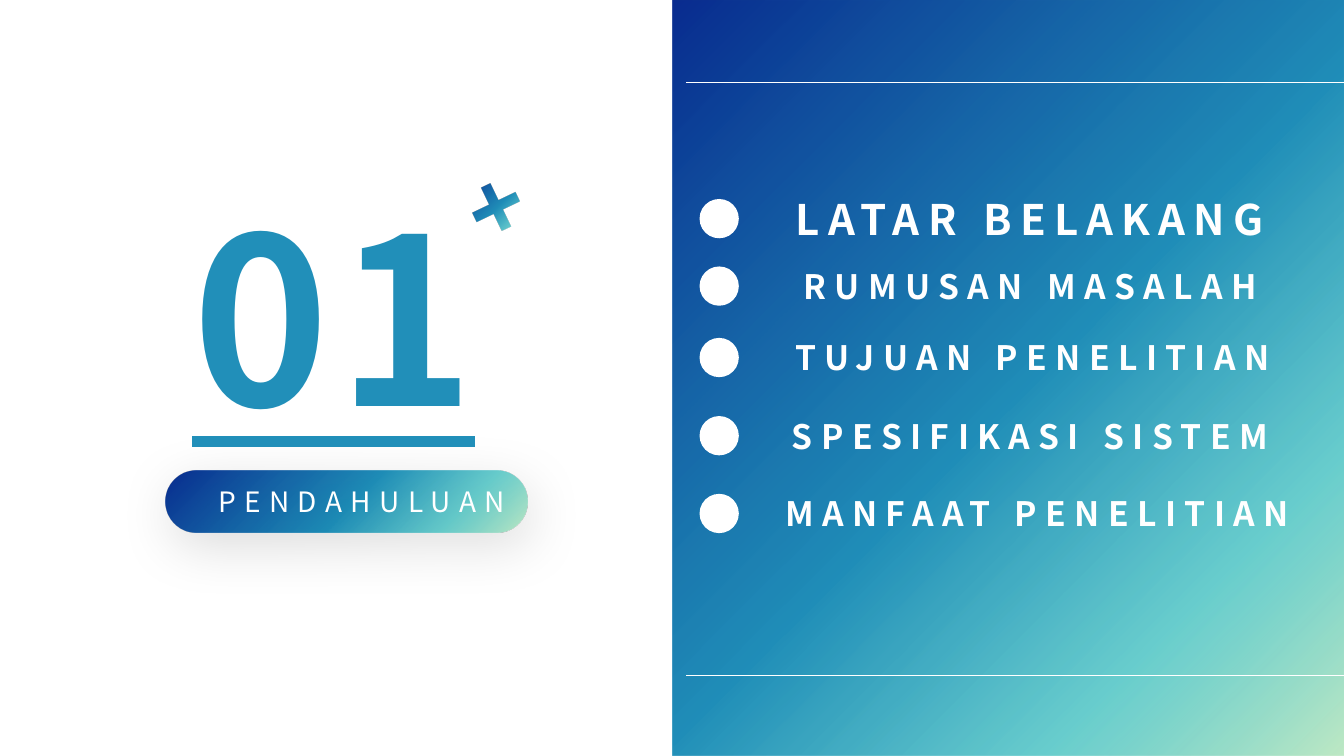
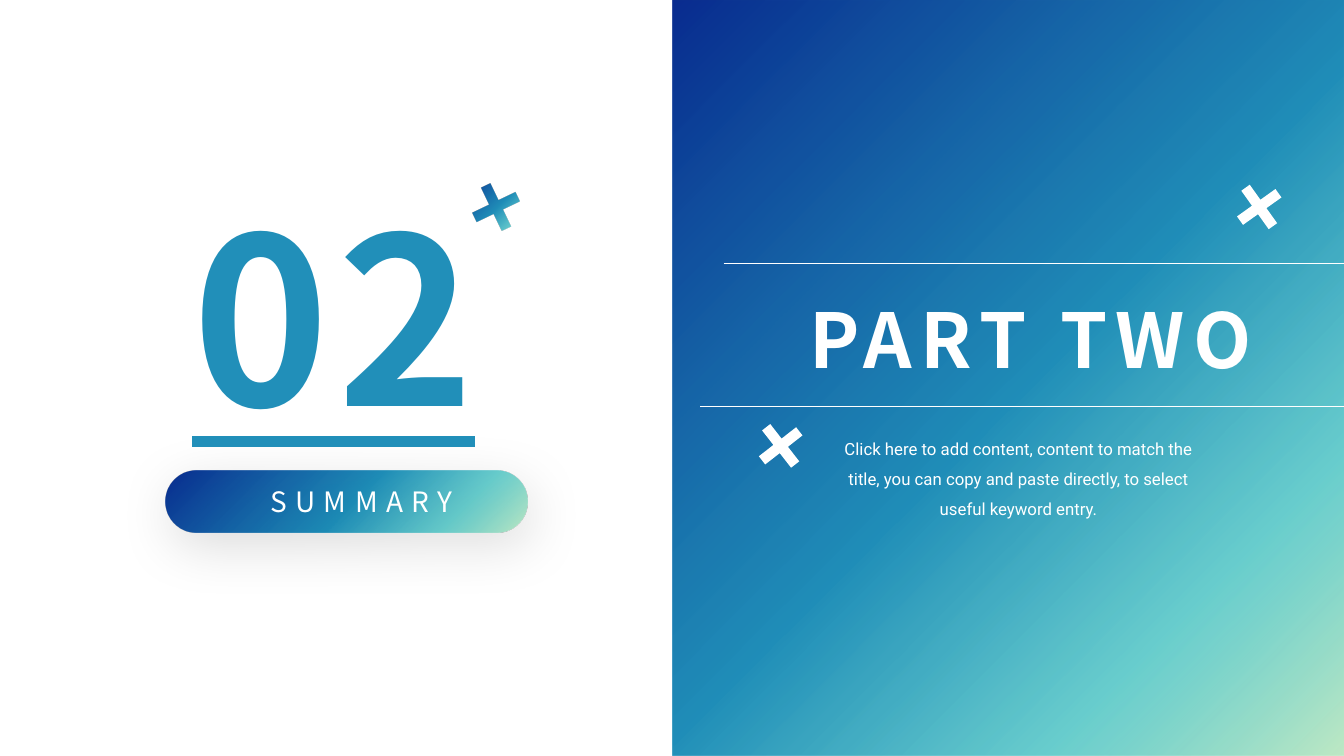
from lxml.etree import SubElement
from pptx import Presentation
from pptx.dml.color import RGBColor
from pptx.enum.shapes import MSO_CONNECTOR, MSO_SHAPE
from pptx.enum.text import MSO_AUTO_SIZE, PP_ALIGN
from pptx.oxml.ns import qn
from pptx.util import Cm, Pt

COLOURS = {"white": "FFFFFF", "number": "218FB9", "shadow": "000000"}
# position %, colour, opacity %
GRADIENT = [(0, "00248B", 96), (52, "0681B0", 89), (79, "45C2C2", 80), (100, "BDE8C2", 96)]
HEADING_FONT, BODY_FONT = "Noto Sans CJK SC", "Roboto"
WIDTH, HEIGHT = 33.87, 19.05

# All lengths are centimetres
PANEL = (16.94, 0, 16.93, HEIGHT)
PILL = (4.17, 11.86, 9.12, 1.57)
LABEL = (5.2, 12.22, 7.82, 0.86)
NUMBER = (4.55, 4.39, 7.72, 7.09)
CROSS_SIZE, DOT_SIZE = 1.19, 0.99
NUMBER_CROSS = (11.91, 4.62, 334.4)

AGENDA_RULES = [(17.3, 2.08), (17.3, 17.02)]
# wording, size, centre of the text, middle of the row
AGENDA = [
    ("LATAR BELAKANG", 30, 25.96, 5.51),
    ("RUMUSAN MASALAH", 24, 25.96, 7.21),
    ("TUJUAN PENELITIAN", 24, 26.02, 9.01),
    ("SPESIFIKASI SISTEM", 24, 25.96, 10.98),
    ("MANFAAT PENELITIAN", 24, 26.14, 12.94),
]
AGENDA_DOT_LEFT, AGENDA_WIDTH = 17.63, 13.2

PART_RULES = [(18.24, 6.63), (17.65, 10.24)]
PART_CROSSES = [(19.08, 10.64, 322.1), (31.14, 4.62, 324.5)]
PART_TITLE = ("PART TWO", (19.84, 7.39, 12.27, 2.31))
PART_TEXT = (
    "Click here to add content, content to match the title, "
    "you can copy and paste directly, to select useful keyword entry.",
    (21.06, 10.8, 9.22, 2.24),
)


def colour(name):
    return RGBColor.from_string(COLOURS[name])


def add_colour(parent, value, opacity):
    node = SubElement(parent, qn("a:srgbClr"), val=value)
    SubElement(node, qn("a:alpha"), val=str(opacity * 1000))


def fill_gradient(shape):
    """Spread the gradient from the top left corner of the shape."""
    shape.fill.gradient()
    gradient = shape.fill._xPr.find(qn("a:gradFill"))
    for child in list(gradient):
        gradient.remove(child)
    stops = SubElement(gradient, qn("a:gsLst"))
    for position, value, opacity in GRADIENT:
        add_colour(SubElement(stops, qn("a:gs"), pos=str(position * 1000)), value, opacity)
    circle = SubElement(gradient, qn("a:path"), path="circle")
    SubElement(circle, qn("a:fillToRect"), r="100000", b="100000")


def add_shape(page, kind, frame, fill=None):
    """Add an outline-free shape, with the gradient unless a fill is named."""
    shape = page.shapes.add_shape(kind, *map(Cm, frame))
    shape.shadow.inherit = False
    shape.line.fill.background()
    if fill:
        shape.fill.solid()
        shape.fill.fore_color.rgb = colour(fill)
    else:
        fill_gradient(shape)
    return shape


def add_cross(page, left, top, rotation, fill=None):
    cross = add_shape(page, MSO_SHAPE.CROSS, (left, top, CROSS_SIZE, CROSS_SIZE), fill)
    cross.adjustments[0] = 0.39
    cross.rotation = rotation


def add_rules(page, starts):
    """Draw thin lines that run to the right edge of the page."""
    for left, top in starts:
        rule = page.shapes.add_connector(
            MSO_CONNECTOR.STRAIGHT, Cm(left), Cm(top), Cm(WIDTH), Cm(top))
        rule.line.color.rgb = colour("white")
        rule.line.width = Pt(0.5)
        SubElement(rule._element.spPr, qn("a:effectLst"))


def add_text(page, text, frame, size, fill="white", name=HEADING_FONT,
             spacing=6, wrap=False, line_spacing=None, **format_values):
    box = page.shapes.add_textbox(*map(Cm, frame)).text_frame
    settings = {"word_wrap": wrap, "auto_size": MSO_AUTO_SIZE.SHAPE_TO_FIT_TEXT,
                "margin_left": 0, "margin_right": 0, "margin_top": 0, "margin_bottom": 0}
    for key, value in settings.items():
        setattr(box, key, value)
    para = box.paragraphs[0]
    para.alignment = PP_ALIGN.CENTER
    para.line_spacing = line_spacing
    span = para.add_run()
    span.text = text
    for key, value in {"size": Pt(size), "name": name, **format_values}.items():
        setattr(span.font, key, value)
    span.font.color.rgb = colour(fill)
    if spacing:
        span.font._element.set("spc", str(spacing * 100))


def add_section_page(deck, number, label):
    """Add a page with the parts that every section page shares."""
    page = deck.slides.add_slide(deck.slide_layouts[6])
    pill = add_shape(page, MSO_SHAPE.ROUNDED_RECTANGLE, PILL)
    pill.adjustments[0] = 0.5
    shadow = SubElement(
        pill._element.spPr.find(qn("a:effectLst")), qn("a:outerShdw"),
        blurRad=str(Pt(40)), dist=str(Pt(10)), dir=str(70 * 60000), rotWithShape="0")
    add_colour(shadow, COLOURS["shadow"], 15)
    add_text(page, label, LABEL, 20)
    add_text(page, number, NUMBER, 166, "number", bold=True, underline=True)
    add_shape(page, MSO_SHAPE.RECTANGLE, PANEL)
    add_cross(page, *NUMBER_CROSS)
    return page


def add_agenda(page):
    add_rules(page, AGENDA_RULES)
    for text, size, centre, middle in AGENDA:
        height = size / 24 * 1.02
        frame = (centre - AGENDA_WIDTH / 2, middle - height / 2, AGENDA_WIDTH, height)
        add_text(page, text, frame, size, bold=True)
        dot = (AGENDA_DOT_LEFT, middle - DOT_SIZE / 2, DOT_SIZE, DOT_SIZE)
        add_shape(page, MSO_SHAPE.OVAL, dot, "white")


def add_part(page):
    add_rules(page, PART_RULES)
    for cross in PART_CROSSES:
        add_cross(page, *cross, "white")
    add_text(page, *PART_TITLE, 54, bold=True)
    add_text(page, *PART_TEXT, 12, name=BODY_FONT, spacing=0, wrap=True, line_spacing=1.5)


def main():
    deck = Presentation()
    deck.slide_width, deck.slide_height = Cm(WIDTH), Cm(HEIGHT)
    add_agenda(add_section_page(deck, "01", "PENDAHULUAN"))
    add_part(add_section_page(deck, "02", "SUMMARY"))
    deck.save("out.pptx")


if __name__ == "__main__":
    main()
